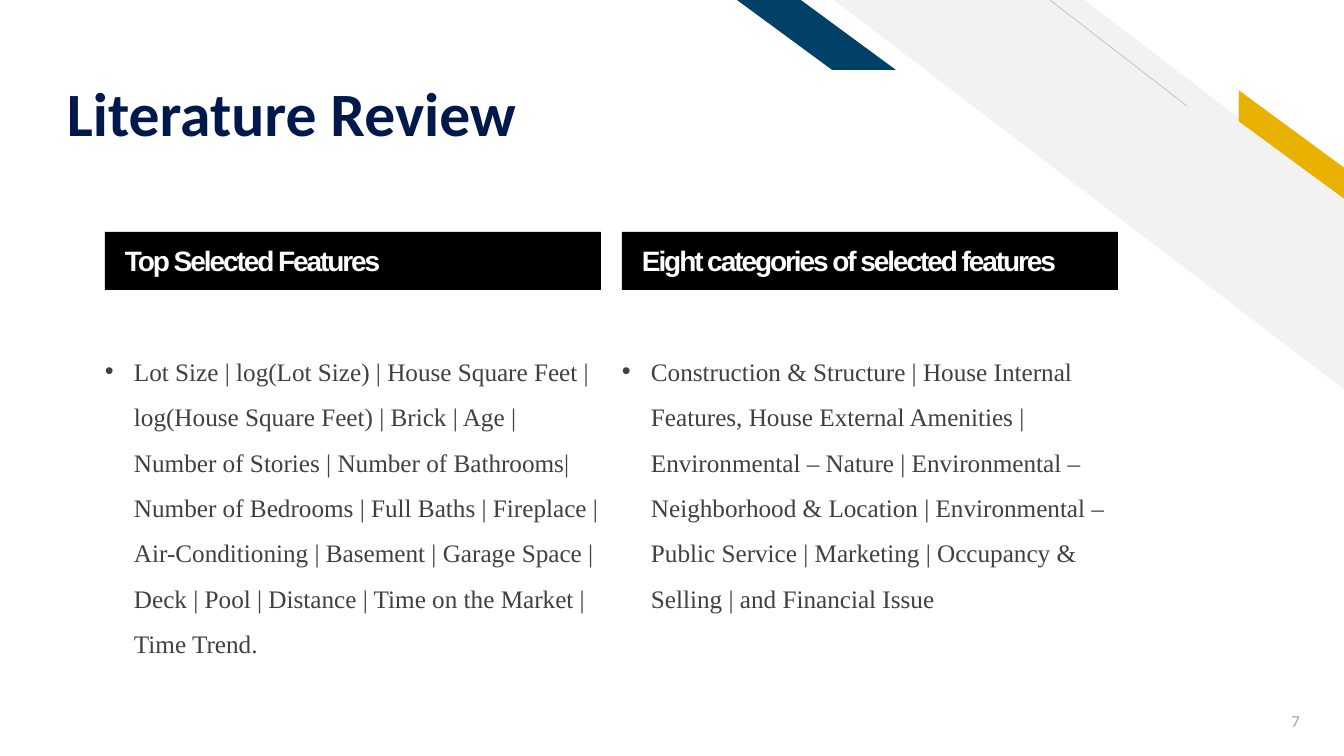
from pptx import Presentation
from pptx.dml.color import RGBColor
from pptx.enum.shapes import MSO_CONNECTOR, MSO_SHAPE
from pptx.enum.text import MSO_ANCHOR, PP_ALIGN
from pptx.oxml.ns import qn
from pptx.util import Pt
from lxml import etree

RECTANGLE = MSO_SHAPE.RECTANGLE
STRIPE = MSO_SHAPE.DIAGONAL_STRIPE
PARALLELOGRAM = MSO_SHAPE.PARALLELOGRAM
STRAIGHT = MSO_CONNECTOR.STRAIGHT
TOP, MIDDLE, BOTTOM = MSO_ANCHOR.TOP, MSO_ANCHOR.MIDDLE, MSO_ANCHOR.BOTTOM
LEFT, RIGHT = PP_ALIGN.LEFT, PP_ALIGN.RIGHT

PX = 914400 / 100.8  # EMU in one px

THEME = {
    "pale": "F2F2F2", "hairline": "BFBFBF", "gold": "EAB200",
    "blue": "014067", "black": "000000",
    "title": {"name": "Calibri", "size": 44, "bold": True, "color": "00194C"},
    "header": {"name": "Arial", "size": 20, "bold": True, "color": "FFFFFF"},
    "body": {"name": "Times New Roman", "size": 18, "bold": False, "color": "404040"},
    "number": {"name": "Calibri", "size": 12, "bold": False, "color": "A5A5A5"},
}


def add_block(kind, box, color):
    left, top, width, height = (round(value * PX) for value in box)
    shape = slide.shapes.add_shape(kind, left, top, width, height)
    shape.shadow.inherit = False
    shape.fill.solid()
    shape.fill.fore_color.rgb = RGBColor.from_string(THEME[color])
    shape.line.fill.background()
    return shape


def write(shape, text, style, insets, anchor=TOP, align=LEFT, spacing=1.0):
    frame = shape.text_frame
    sides = ("margin_left", "margin_top", "margin_right", "margin_bottom")
    settings = {"word_wrap": True, "vertical_anchor": anchor}
    settings.update((side, round(inset * PX)) for side, inset in zip(sides, insets))
    for name, value in settings.items():
        setattr(frame, name, value)
    paragraph = frame.paragraphs[0]
    paragraph.alignment = align
    paragraph.line_spacing = spacing
    run = paragraph.add_run()
    run.text = text
    values = dict(THEME[style])
    run.font.color.rgb = RGBColor.from_string(values.pop("color"))
    values["size"] = Pt(values["size"])
    for name, value in values.items():
        setattr(run.font, name, value)
    return paragraph


presentation = Presentation()
presentation.slide_width = round(1344 * PX)
presentation.slide_height = round(756 * PX)
slide = presentation.slides.add_slide(presentation.slide_layouts[6])

# Diagonal decoration: kind, box, colour, adjustment, rotation
decorations = [
    (STRIPE, (834, 0, 511, 390), "pale", 0.51, 0),
    (PARALLELOGRAM, (1217, 132, 149, 25), "gold", 0.72, 36.3),
    (PARALLELOGRAM, (737, 0, 159, 70), "blue", 1.36, 0),
]
for kind, box, color, adjustment, rotation in decorations:
    stripe = add_block(kind, box, color)
    stripe.adjustments[0] = adjustment
    stripe.rotation = rotation
    stripe._element.spPr.find(qn("a:xfrm")).set("flipH", "1")

# Thin line across the pale stripe
hairline = slide.shapes.add_connector(
    STRAIGHT, *(round(value * PX) for value in (1187, 106, 1050, 0)))
hairline.line.color.rgb = RGBColor.from_string(THEME["hairline"])
hairline.line.width = Pt(0.5)
etree.SubElement(hairline._element.spPr, qn("a:effectLst"))

# Title and slide number
labels = [
    ("Literature Review", (57, 23, 918, 127), "title", (10, 5, 10, 0), BOTTOM, LEFT, 0.9),
    ("7", (1228, 701, 82, 40), "number", (10, 5, 10, 5), MIDDLE, RIGHT, 1.0),
]
for text, box, *formatting in labels:
    label = slide.shapes.add_textbox(*(round(value * PX) for value in box))
    write(label, text, *formatting)

# Two columns: black header above a bulleted paragraph
COLUMN_LEFT, COLUMN_WIDTH, COLUMN_STEP = 105, 496, 517
HEADER_TOP, HEADER_HEIGHT = 232, 58
BODY_TOP, BODY_HEIGHT = 341, 330
INDENT = round(29 * PX)

columns = [
    ("Top Selected Features",
     "Lot Size | log(Lot Size) | House Square Feet | log(House Square Feet) | "
     "Brick | Age | Number of Stories | Number of Bathrooms| Number of Bedrooms | "
     "Full Baths | Fireplace | Air-Conditioning | Basement | Garage Space | Deck | "
     "Pool | Distance | Time on the Market | Time Trend."),
    ("Eight categories of selected features",
     "Construction & Structure | House Internal Features, House External Amenities | "
     "Environmental – Nature | Environmental – Neighborhood & Location | "
     "Environmental – Public Service | Marketing | Occupancy & Selling | "
     "and Financial Issue"),
]
for index, (heading, features) in enumerate(columns):
    left = COLUMN_LEFT + index * COLUMN_STEP

    header = add_block(RECTANGLE, (left, HEADER_TOP, COLUMN_WIDTH, HEADER_HEIGHT), "black")
    paragraph = write(header, heading, "header", (20, 2, 0, 0), MIDDLE, spacing=0.9)
    paragraph.runs[0].font._element.set("spc", "-150")

    body = slide.shapes.add_textbox(
        *(round(value * PX) for value in (left, BODY_TOP, COLUMN_WIDTH, BODY_HEIGHT)))
    paragraph = write(body, features, "body", (0, 0, 0, 0), spacing=1.5)
    properties = paragraph._p.get_or_add_pPr()
    properties.set("marL", str(INDENT))
    properties.set("indent", str(-INDENT))
    etree.SubElement(properties, qn("a:buFont"), typeface="Arial")
    etree.SubElement(properties, qn("a:buChar"), char="•")

presentation.save("out.pptx")
